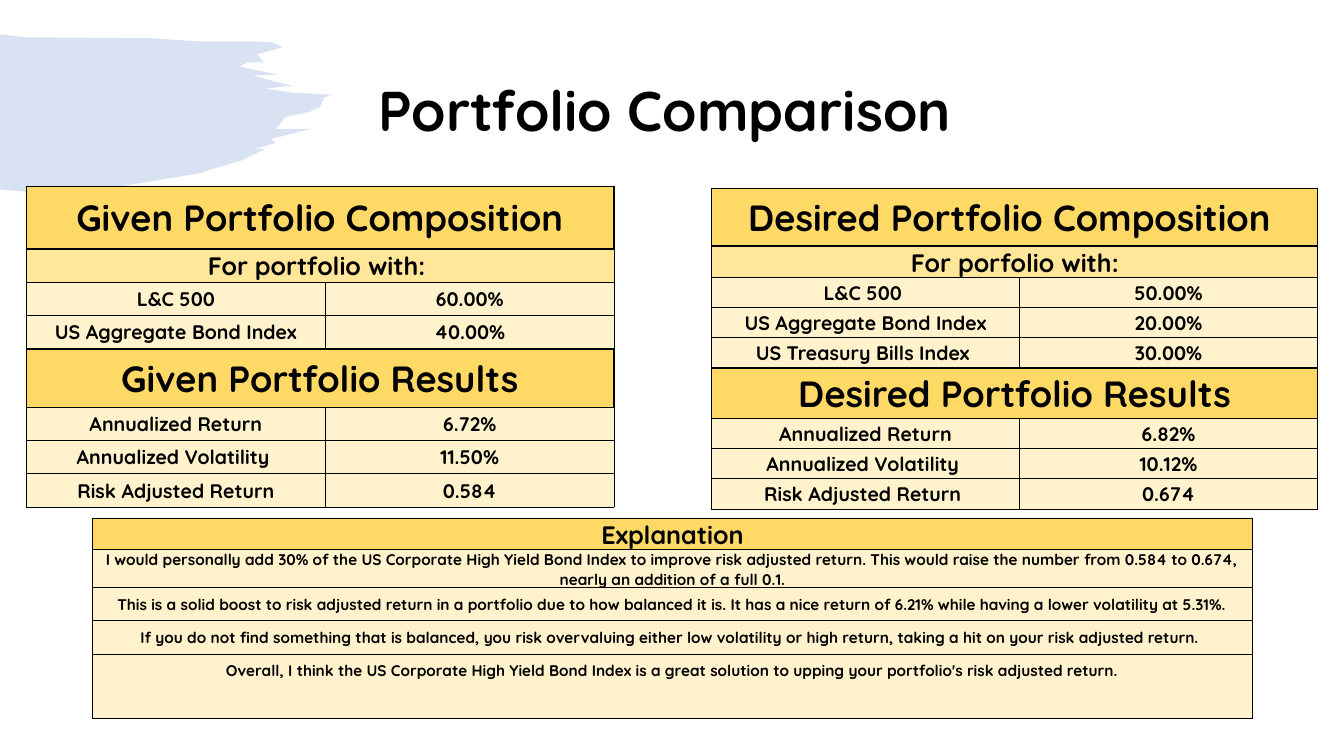
from lxml import etree
from pptx import Presentation
from pptx.dml.color import RGBColor
from pptx.enum.text import MSO_ANCHOR, PP_ALIGN
from pptx.oxml.ns import qn
from pptx.util import Inches, Pt

MIDDLE = MSO_ANCHOR.MIDDLE
CENTER = PP_ALIGN.CENTER
FONT = "Quicksand"
COLORS = {
    "text": "000000",
    "border": "000000",
    "brush": "4472C4",
    "header": "FFD966",
    "subheader": "FFE699",
    "body": "FFF2CC",
}
BRUSH_OPACITY = 20000
CELL_MARGINS = {"margin_left": 0.01, "margin_right": 0.01, "margin_top": 0.01, "margin_bottom": 0}


def write_text(frame, text, size):
    paragraph = frame.paragraphs[0]
    paragraph.alignment = CENTER
    run = paragraph.add_run()
    run.text = text
    font_format = {"name": FONT, "size": Pt(size), "bold": True}
    for attribute, value in font_format.items():
        setattr(run.font, attribute, value)
    run.font.color.rgb = RGBColor.from_string(COLORS["text"])
    return paragraph


def style_cell(cell, fill, borders):
    """Set margins, fill and borders; borders maps L, R, T, B to points, 0 for no line."""
    for margin, inches in CELL_MARGINS.items():
        setattr(cell, margin, Inches(inches))
    cell.vertical_anchor = MIDDLE
    properties = cell._tc.get_or_add_tcPr()
    for side in "LRTB":
        line = etree.SubElement(properties, qn(f"a:ln{side}"), w=str(Pt(borders[side])))
        if borders[side]:
            solid = etree.SubElement(line, qn("a:solidFill"))
            etree.SubElement(solid, qn("a:srgbClr"), val=COLORS["border"])
        else:
            etree.SubElement(line, qn("a:noFill"))
    cell.fill.solid()
    cell.fill.fore_color.rgb = RGBColor.from_string(COLORS[fill])


prs = Presentation()
prs.slide_width = Inches(13.33)
prs.slide_height = Inches(7.5)
slide = prs.slides.add_slide(prs.slide_layouts[6])

# Brush stroke, clockwise from the top left corner
brush_outline = [
    (0.25, 0.37), (1.51, 0.38), (1.94, 0.41), (2.48, 0.41), (2.7, 0.42), (2.8, 0.47),
    (2.55, 0.54), (2.62, 0.62), (2.45, 0.62), (2.38, 0.66), (2.75, 0.74), (2.51, 0.75),
    (2.73, 0.81), (2.9, 0.85), (2.63, 0.88), (2.9, 0.92), (3.3, 0.94), (3.21, 0.97),
    (3.18, 1.06), (3.07, 1.11), (2.83, 1.16), (2.74, 1.28), (3.08, 1.28), (2.69, 1.38),
    (2.73, 1.42), (2.52, 1.48), (2.63, 1.48), (2.4, 1.59), (1.97, 1.72), (1.02, 1.88),
    (0.65, 1.91), (0.23, 1.9), (0, 1.88),
]
builder = slide.shapes.build_freeform(Inches(0), Inches(0.34))
builder.add_line_segments([(Inches(x), Inches(y)) for x, y in brush_outline], close=True)
brush = builder.convert_to_shape()
brush.shadow.inherit = False
brush.line.fill.background()
brush.fill.solid()
brush.fill.fore_color.rgb = RGBColor.from_string(COLORS["brush"])
brush_color = brush._element.spPr.find(qn("a:solidFill")).find(qn("a:srgbClr"))
etree.SubElement(brush_color, qn("a:alpha"), val=str(BRUSH_OPACITY))

title = slide.shapes.add_textbox(Inches(0.92), Inches(0.4), Inches(11.5), Inches(1.45)).text_frame
title.word_wrap = True
title.vertical_anchor = MIDDLE
write_text(title, "Portfolio Comparison ", 40).line_spacing = 0.9

# Portfolio tables: left, top, column widths, header height, row height, rows
given_columns = (2.97, 2.86)
desired_columns = (3.05, 2.96)
portfolio_tables = [
    (0.26, 1.85, given_columns, 0.62, 0.33, [
        ("Given Portfolio Composition",), ("For portfolio with: ",),
        ("L&C 500", "60.00%"), ("US Aggregate Bond Index", "40.00%")]),
    (0.26, 3.47, given_columns, 0.57, 0.33, [
        ("Given Portfolio Results",), ("Annualized Return", "6.72%"),
        ("Annualized Volatility ", "11.50%"), ("Risk Adjusted Return", "0.584")]),
    (7.06, 1.87, desired_columns, 0.57, 0.3, [
        ("Desired Portfolio Composition ",), ("For porfolio with:",),
        ("L&C 500 ", "50.00%"), ("US Aggregate Bond Index", "20.00%"),
        ("US Treasury Bills Index ", "30.00%")]),
    (7.06, 3.65, desired_columns, 0.5, 0.3, [
        ("Desired Portfolio Results",), ("Annualized Return", "6.82%"),
        ("Annualized Volatility ", "10.12%"), ("Risk Adjusted Return ", "0.674")]),
]
for left, top, widths, header_height, row_height, rows in portfolio_tables:
    heights = [header_height] + [row_height] * (len(rows) - 1)
    table = slide.shapes.add_table(
        len(rows), 2, Inches(left), Inches(top), Inches(sum(widths)), Inches(sum(heights))).table
    table.first_row = table.horz_banding = False
    for column, width in zip(table.columns, widths):
        column.width = Inches(width)
    for r, texts in enumerate(rows):
        table.rows[r].height = Inches(heights[r])
        if r == 0:
            fill, size = "header", 26
        elif len(texts) == 1:
            fill, size = "subheader", 18
        else:
            fill, size = "body", 14
        borders = dict.fromkeys("LRTB", 1 if r == 0 else 0.5)
        if r == 1:
            borders["T"] = 1
        for c in range(2):
            style_cell(table.cell(r, c), fill, borders)
        if len(texts) == 1:
            table.cell(r, 0).merge(table.cell(r, 1))
        for c, text in enumerate(texts):
            write_text(table.cell(r, c).text_frame, text, size)

# Explanation: one text a row, closed by an empty strip
explanation_texts = [
    "Explanation",
    "I would personally add 30% of the US Corporate High Yield Bond Index to improve risk adjusted return. "
    "This would raise the number from 0.584 to 0.674, nearly an addition of a full 0.1.",
    "This is a solid boost to risk adjusted return in a portfolio due to how balanced it is. "
    "It has a nice return of 6.21% while having a lower volatility at 5.31%.",
    "If you do not find something that is balanced, you risk overvaluing either low volatility "
    "or high return, taking a hit on your risk adjusted return. ",
    "Overall, I think the US Corporate High Yield Bond Index is a great solution to upping "
    "your portfolio's risk adjusted return.",
    "",
]
explanation_heights = [0.29] + [0.33] * 4 + [0.2]
rules = [1, 1, 0.5, 0.5, 0.5, 0, 1]
explanation = slide.shapes.add_table(
    len(explanation_texts), 1, Inches(0.92), Inches(5.14), Inches(11.5),
    Inches(sum(explanation_heights))).table
explanation.first_row = explanation.horz_banding = False
for r, text in enumerate(explanation_texts):
    explanation.rows[r].height = Inches(explanation_heights[r])
    cell = explanation.cell(r, 0)
    style_cell(cell, "body" if r else "header", {"L": 1, "R": 1, "T": rules[r], "B": rules[r + 1]})
    write_text(cell.text_frame, text, 11 if r else 18)

prs.save("out.pptx")
